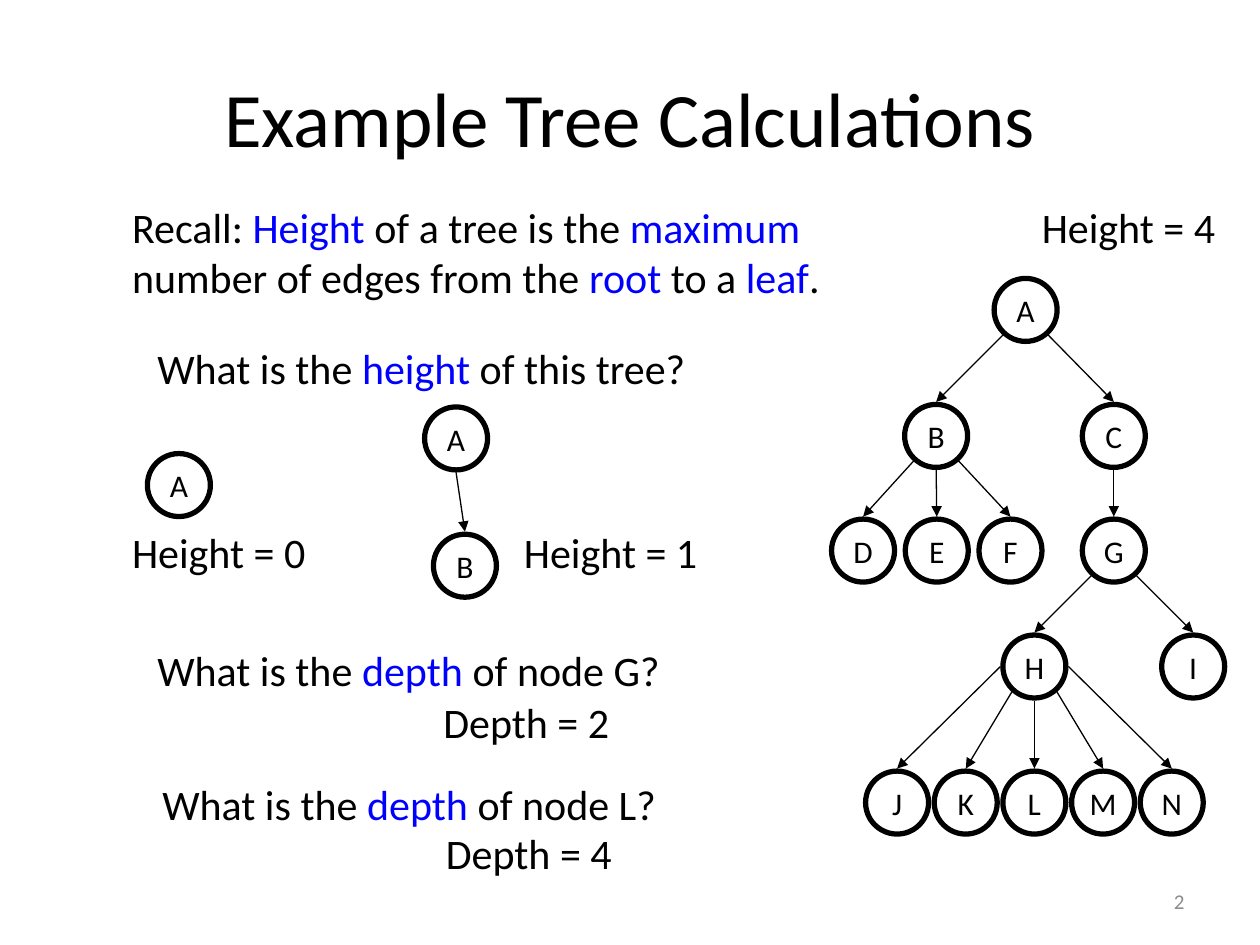
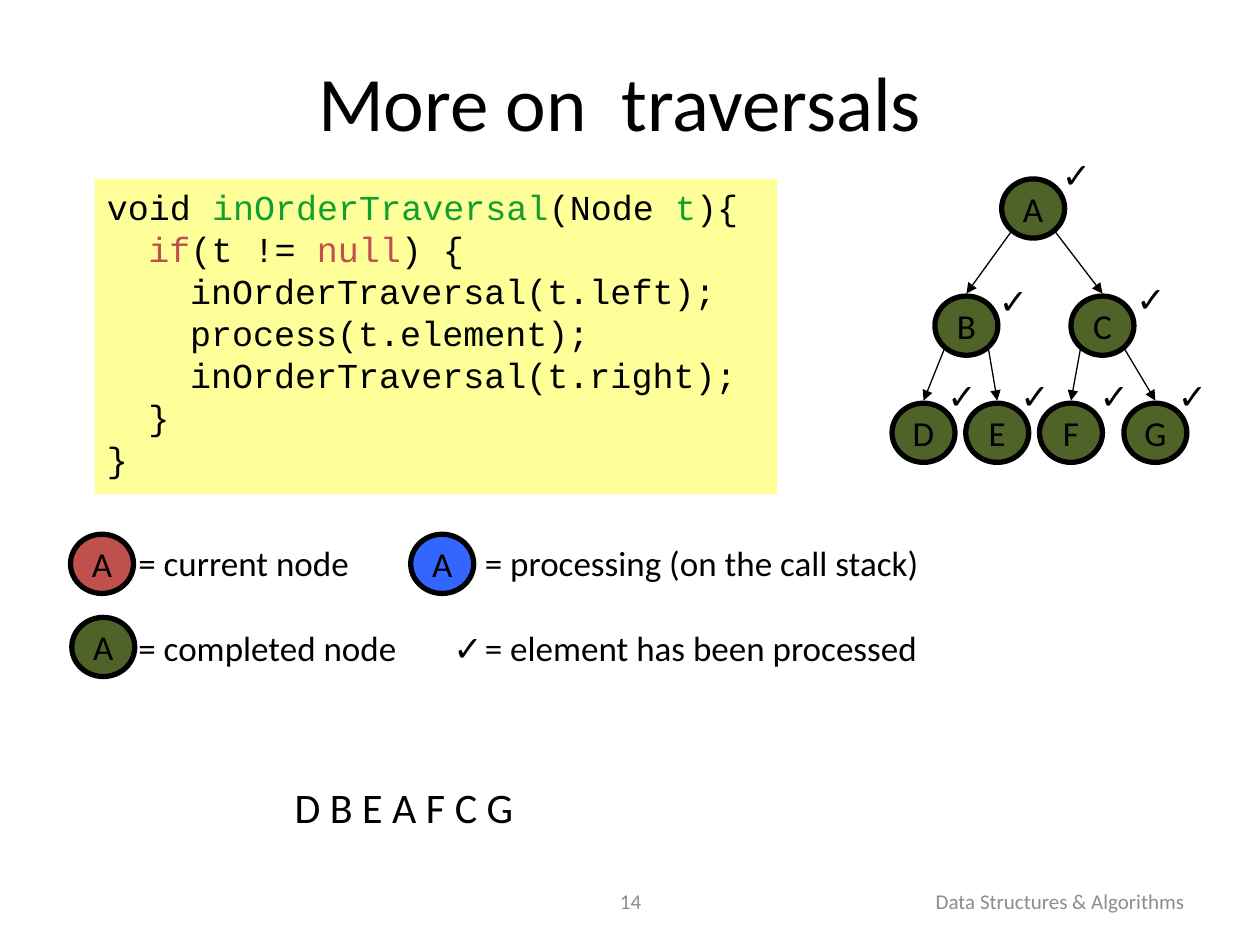
"""Build two slides on tree height, node depth and in-order traversal."""
from dataclasses import dataclass
from typing import Any, NamedTuple, Optional

import lxml.etree
import pptx
import pptx.dml.color
import pptx.enum.shapes
import pptx.enum.text
import pptx.oxml.ns
import pptx.slide
import pptx.util

Inches = pptx.util.Inches
Align = pptx.enum.text.PP_ALIGN
Anchor = pptx.enum.text.MSO_ANCHOR


@dataclass(frozen=True)
class Theme:
    ink: str = "000000"
    keyword: str = "0000FF"
    footer: str = "8C8C8C"
    code_paper: str = "FFFF99"
    code_name: str = "119F33"
    current: str = "C0504D"
    processing: str = "3366FF"
    completed: str = "4F6228"
    font: str = "Calibri"
    code_font: str = "Courier New"
    mark_font: str = "Arial"
    title_size: int = 44
    body_size: int = 24
    code_size: int = 20
    node_size: int = 18
    footer_size: int = 12


THEME = Theme()


class Box(NamedTuple):
    left: float
    top: float
    width: float
    height: float


class Span(NamedTuple):
    text: str
    color: str = THEME.ink


class Line(NamedTuple):
    spans: list[Span]
    indent: float = 0


@dataclass(frozen=True)
class Style:
    size: int = THEME.body_size
    font: str = THEME.font
    align: Any = Align.LEFT
    anchor: Any = Anchor.TOP
    wrap: bool = True


BODY = Style()
TITLE = Style(THEME.title_size, align=Align.CENTER, anchor=Anchor.MIDDLE)
FOOTER = Style(THEME.footer_size, align=Align.RIGHT, anchor=Anchor.MIDDLE)
PAGE_CENTER = Style(THEME.footer_size, align=Align.CENTER, anchor=Anchor.MIDDLE)
CODE = Style(THEME.code_size, THEME.code_font)
LEGEND = Style(THEME.code_size)
MARK = Style(THEME.code_size, THEME.mark_font)
FOOTER_BOX = Box(7.17, 6.95, 2.33, 0.4)


@dataclass(frozen=True)
class NodeLook:
    height: float
    size: int
    fill: Optional[str] = None
    width: float = 0.5


PLAIN = NodeLook(0.5, THEME.node_size)
DONE = NodeLook(0.47, THEME.code_size, THEME.completed)


@dataclass(frozen=True)
class Tree:
    places: dict[str, tuple[float, float]]
    children: dict[str, str]
    look: NodeLook


def rgb(color: str) -> pptx.dml.color.RGBColor:
    return pptx.dml.color.RGBColor.from_string(color)


def apply(target: Any, values: dict[str, Any]) -> None:
    for name, value in values.items():
        setattr(target, name, value)


def write(shape: Any, lines: list[Line], style: Style) -> None:
    frame = shape.text_frame
    apply(frame, {"word_wrap": style.wrap, "vertical_anchor": style.anchor})
    for index, line in enumerate(lines):
        paragraph = frame.add_paragraph() if index else frame.paragraphs[0]
        paragraph.alignment = style.align
        if line.indent:
            paragraph._p.get_or_add_pPr().set("marL", str(Inches(line.indent)))
        for span in line.spans:
            run = paragraph.add_run()
            run.text = span.text
            apply(run.font, {"size": pptx.util.Pt(style.size), "name": style.font})
            run.font.color.rgb = rgb(span.color)


def add_text(slide: pptx.slide.Slide, box: Box, spans: list[Span], style: Style = BODY) -> None:
    write(slide.shapes.add_textbox(*map(Inches, box)), [Line(spans)], style)


def add_panel(slide: pptx.slide.Slide, box: Box, fill: Optional[str], kind: Any) -> Any:
    panel = slide.shapes.add_shape(kind, *map(Inches, box))
    panel.shadow.inherit = False
    if fill:
        panel.fill.solid()
        panel.fill.fore_color.rgb = rgb(fill)
    else:
        panel.fill.background()
    return panel


def add_node(slide: pptx.slide.Slide, letter: str, left: float, top: float, look: NodeLook) -> None:
    node = add_panel(slide, Box(left, top, look.width, look.height), look.fill,
                     pptx.enum.shapes.MSO_SHAPE.OVAL)
    node.line.width = pptx.util.Pt(3)
    node.line.color.rgb = rgb(THEME.ink)
    write(node, [Line([Span(letter)])],
          Style(look.size, align=Align.CENTER, anchor=Anchor.MIDDLE, wrap=False))


def add_edge(slide: pptx.slide.Slide, tree: Tree, parent: str, child: str) -> None:
    gap = 0.02
    half_width, half_height = tree.look.width / 2, tree.look.height / 2
    (left, top), (child_left, child_top) = tree.places[parent], tree.places[child]
    reach = child_left - left
    side = 1 if reach > 0 else -1
    if abs(reach) < 0.1:
        exit_x, exit_y = 0, half_height + gap
    elif abs(reach) < 1:
        exit_x, exit_y = side * 0.7 * half_width, 0.7 * half_height + gap
    else:
        exit_x, exit_y = side * (half_width + gap), 0
    ends = (left + half_width + exit_x, top + half_height + exit_y,
            child_left + half_width, child_top - gap)
    arrow = slide.shapes.add_connector(pptx.enum.shapes.MSO_CONNECTOR.STRAIGHT, *map(Inches, ends))
    arrow.line.width = pptx.util.Pt(0.75)
    arrow.line.color.rgb = rgb(THEME.ink)
    qn = pptx.oxml.ns.qn
    properties = arrow._element.spPr
    lxml.etree.SubElement(properties.find(qn("a:ln")), qn("a:tailEnd"), type="triangle")
    lxml.etree.SubElement(properties, qn("a:effectLst"))


def add_tree(slide: pptx.slide.Slide, tree: Tree) -> None:
    for letter, (left, top) in tree.places.items():
        add_node(slide, letter, left, top, tree.look)
    for parent, children in tree.children.items():
        for child in children:
            add_edge(slide, tree, parent, child)


def row(letters: str, left: float, step: float, top: float) -> dict[str, tuple[float, float]]:
    return {letter: (left + step * index, top) for index, letter in enumerate(letters)}


def build_calculations(slide: pptx.slide.Slide) -> None:
    add_text(slide, Box(0.5, 0.3, 9, 1.25), [Span("Example Tree Calculations")], TITLE)
    add_text(slide, FOOTER_BOX, [Span("2", THEME.footer)], FOOTER)
    places = {
        "A": (7.89, 2.21),
        **row("BC", 7.18, 1.41, 3.21),
        **row("DEF", 6.6, 0.585, 4.12),
        "G": (8.59, 4.12),
        **row("HI", 7.96, 1.26, 5.04),
        **row("JKLMN", 6.87, 0.545, 6.12),
    }
    children = {"A": "BC", "B": "DEF", "C": "G", "G": "HI", "H": "JKLMN"}
    trees = [
        Tree(places, children, PLAIN),
        Tree({"A": (1.17, 3.6)}, {}, PLAIN),
        Tree({"A": (3.37, 3.23), "B": (3.44, 4.24)}, {"A": "B"}, PLAIN),
    ]
    for tree in trees:
        add_tree(slide, tree)

    add_text(slide, Box(0.95, 1.55, 6.12, 0.91), [
        Span("Recall: "), Span("Height", THEME.keyword), Span(" of a tree is the "),
        Span("maximum", THEME.keyword), Span(" number of edges from the "),
        Span("root", THEME.keyword), Span(" to a "), Span("leaf", THEME.keyword), Span("."),
    ])
    questions = [
        (1.15, 2.67, "height", " of this tree?"),
        (1.15, 5.07, "depth", " of node G?"),
        (1.19, 6.13, "depth", " of node L?"),
    ]
    for left, top, measure, subject in questions:
        add_text(slide, Box(left, top, 4.5, 0.5),
                 [Span("What is the "), Span(measure, THEME.keyword), Span(subject)])
    answers = [
        (0.95, 4.13, "Height = 0"),
        (4.06, 4.13, "Height = 1"),
        (3.42, 5.48, "Depth = 2"),
        (3.44, 6.52, "Depth = 4"),
        (8.17, 1.55, "Height = 4"),
    ]
    for left, top, answer in answers:
        add_text(slide, Box(left, top, 1.68, 0.5), [Span(answer)])


def build_traversals(slide: pptx.slide.Slide) -> None:
    add_text(slide, Box(0.67, 0.17, 8.5, 1.25), [Span("More on  traversals")], TITLE)
    add_text(slide, Box(3.42, 6.95, 3.17, 0.4), [Span("14", THEME.footer)], PAGE_CENTER)
    add_text(slide, FOOTER_BOX, [Span("Data Structures & Algorithms", THEME.footer)], FOOTER)

    code = add_panel(slide, Box(0.75, 1.42, 5.42, 2.5), THEME.code_paper,
                     pptx.enum.shapes.MSO_SHAPE.RECTANGLE)
    code.line.fill.background()
    tab = 0.33
    write(code, [
        Line([Span("void "), Span("inOrderTraversal", THEME.code_name), Span("(Node "),
              Span("t", THEME.code_name), Span("){")]),
        Line([Span("if", THEME.current), Span("(t != "), Span("null", THEME.current),
              Span(") {")], tab),
        Line([Span("inOrderTraversal(t.left);")], 2 * tab),
        Line([Span("process(t.element);")], 2 * tab),
        Line([Span("inOrderTraversal(t.right);")], 2 * tab),
        Line([Span("}")], tab),
        Line([Span("}")]),
    ], CODE)

    places = {
        "A": (7.95, 1.42),
        **row("BC", 7.42, 1.08, 2.35),
        **row("DEF", 7.08, 0.585, 3.2),
        "G": (8.92, 3.2),
    }
    add_tree(slide, Tree(places, {"A": "BC", "B": "DE", "C": "FG"}, DONE))
    check_places = [(8.33, 1.17), (7.83, 2.17), (8.92, 2.15), (7.42, 2.92), (8, 2.92),
                    (8.63, 2.92), (9.25, 2.92), (3.5, 4.92)]
    for left, top in check_places:
        add_text(slide, Box(left, top, 0.33, 0.44), [Span("✓")], MARK)

    legend_labels = [
        (1, 4.25, "= current node"),
        (3.75, 4.25, "= processing (on the call stack)"),
        (1, 4.92, "= completed node"),
        (3.75, 4.92, "= element has been processed"),
    ]
    for left, top, meaning in legend_labels:
        add_text(slide, Box(left, top, 2.5 if left == 1 else 4, 0.44), [Span(meaning)], LEGEND)
    legend_nodes = [
        (0.56, 4.24, THEME.current),
        (3.26, 4.24, THEME.processing),
        (0.57, 4.9, THEME.completed),
    ]
    for left, top, state in legend_nodes:
        add_node(slide, "A", left, top, NodeLook(DONE.height, DONE.size, state))
    add_text(slide, Box(2.24, 6.15, 2.1, 0.5), [Span("D B E A F C G")])


def main() -> None:
    deck = pptx.Presentation()
    apply(deck, {"slide_width": Inches(10), "slide_height": Inches(7.5)})
    for build in (build_calculations, build_traversals):
        build(deck.slides.add_slide(deck.slide_layouts[6]))
    deck.save("out.pptx")


if __name__ == "__main__":
    main()
